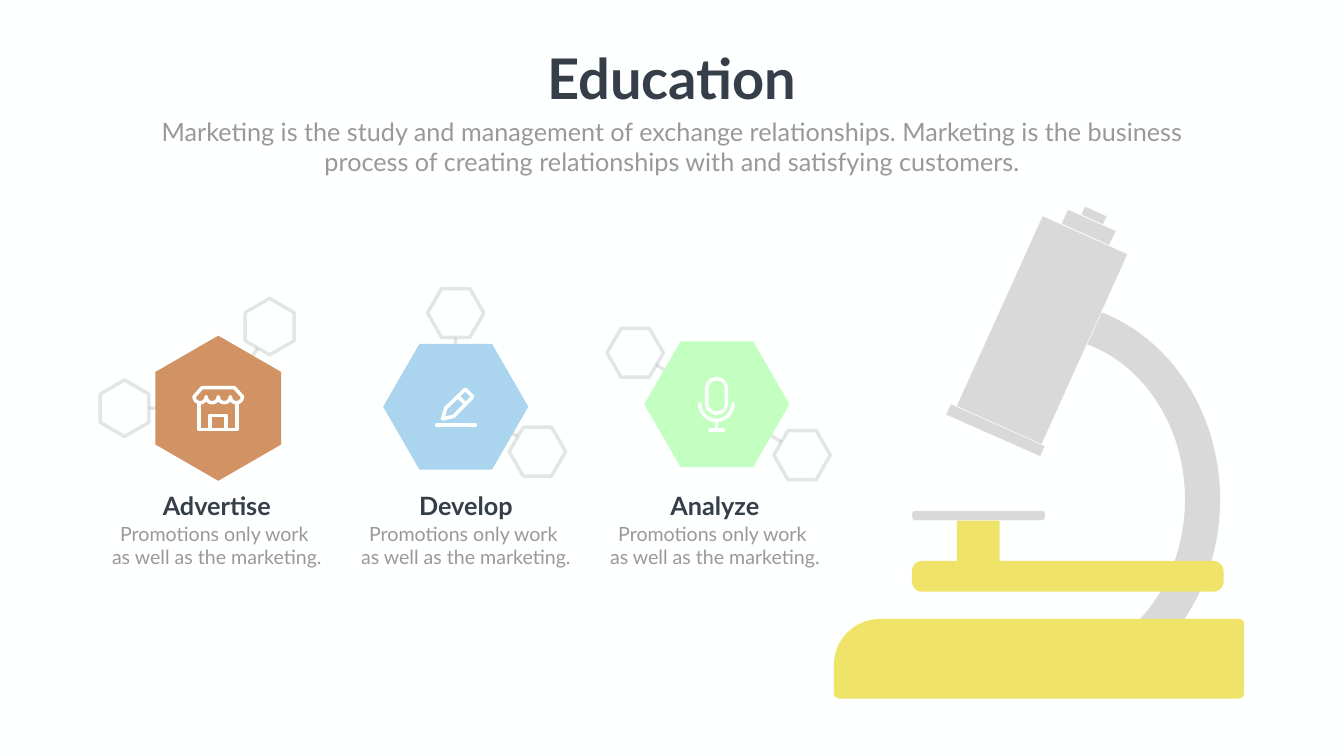
from math import cos, radians, sin

from lxml import etree
from pptx import Presentation
from pptx.dml.color import RGBColor
from pptx.enum.shapes import MSO_CONNECTOR, MSO_SHAPE
from pptx.enum.text import MSO_ANCHOR, PP_ALIGN
from pptx.oxml.ns import qn
from pptx.util import Pt

PX = 9144  # EMU per px: 100 px to the inch
RECTANGLE, ROUNDED = MSO_SHAPE.RECTANGLE, MSO_SHAPE.ROUNDED_RECTANGLE
STRAIGHT = MSO_CONNECTOR.STRAIGHT
CENTER, TOP = PP_ALIGN.CENTER, MSO_ANCHOR.TOP

FONT = "Lato"
WHITE, DARK, TEXT_GRAY = "FEFFFF", "363E49", "989998"
LIGHT_GRAY, YELLOW = "D9D9D9", "F0E36A"
BOND = {"line": "808080", "weight": 5, "alpha": 20}
ICON = {"line": WHITE, "weight": 5, "rounded": True}
METAL = {"fill": LIGHT_GRAY, "line": WHITE, "weight": 0.75}

# name, caption centre, hexagon centre, turn, colour, satellite centres, bond path
STEPS = [
    ("Advertise", 430, (433, 810), 30, "D29364", [(535, 648), (247, 810)],
     [(295, 810), (433, 810), (511, 691)]),
    ("Develop", 924, (904, 807), 0, "ABD5EE", [(1066, 896), (904, 621)],
     [(904, 670), (904, 817), (1027, 865)]),
    ("Analyze", 1418, (1422, 802), 0, "C3FFC0", [(1260, 700), (1591, 903)],
     [(1302, 724), (1550, 877)]),
]

TUBE_PARTS = [
    [(2237, 504), (2066, 883), (1897, 806), (2068, 428)],
    [(2214, 458), (2200, 487), (2105, 444), (2118, 415)],
    [(2196, 429), (2188, 446), (2144, 426), (2152, 409)],
    [(2073, 885), (2064, 906), (1876, 823), (1886, 801)],
]


def color(value):
    return RGBColor.from_string(value)


def style_line(shape, line=None, weight=1, alpha=None, rounded=False):
    if line is None:
        shape.line.fill.background()
        return
    shape.line.color.rgb = color(line)
    shape.line.width = Pt(weight)
    outline = shape.element.spPr.find(qn("a:ln"))
    if alpha is not None:
        paint = outline.find(".//" + qn("a:srgbClr"))
        etree.SubElement(paint, qn("a:alpha")).set("val", str(alpha * 1000))
    if rounded:
        outline.set("cap", "rnd")
        etree.SubElement(outline, qn("a:round"))


def style_shape(shape, fill=None, **line_format):
    shape.shadow.inherit = False
    if fill is None:
        shape.fill.background()
    else:
        shape.fill.solid()
        shape.fill.fore_color.rgb = color(fill)
    style_line(shape, **line_format)


def add_outline(page, points, closed=True, **look):
    corners = [(round(x * PX), round(y * PX)) for x, y in points]
    builder = page.shapes.build_freeform(*corners[0])
    builder.add_line_segments(corners[1:], close=closed)
    style_shape(builder.convert_to_shape(), **look)


def add_box(page, left, top, width, height, radius=0, **look):
    kind = ROUNDED if radius else RECTANGLE
    box = page.shapes.add_shape(kind, *(n * PX for n in (left, top, width, height)))
    if radius:
        box.adjustments[0] = radius / min(width, height)
    style_shape(box, **look)


def add_line(page, start, end, **look):
    line = page.shapes.add_connector(STRAIGHT, *(n * PX for n in (*start, *end)))
    etree.SubElement(line.element.spPr, qn("a:effectLst"))
    style_line(line, **look)


def arc(x, y, radius_x, radius_y, start, end, steps=24):
    """Points along an ellipse; degrees run clockwise from the right."""
    angles = [radians(start + (end - start) * i / steps) for i in range(steps + 1)]
    return [(x + radius_x * cos(a), y + radius_y * sin(a)) for a in angles]


def add_hexagon(page, center, radius, turn, **look):
    add_outline(page, arc(*center, radius, radius, turn, turn + 300, 5), **look)


def write(box, text, size, ink, bold=False, wrap=True):
    frame = box.text_frame
    frame.word_wrap = wrap
    frame.vertical_anchor = TOP
    frame.text = text
    for para in frame.paragraphs:
        properties = para._p.get_or_add_pPr()
        properties.set("marL", "0")
        properties.set("indent", "0")
        etree.SubElement(properties, qn("a:buNone"))
        para.alignment = CENTER
        para.space_before = Pt(0)
        for span in para.runs:
            span.font.name = FONT
            span.font.size = Pt(size)
            span.font.bold = bold
            span.font.color.rgb = color(ink)


def place(box, left, top, width, height):
    box.left, box.top, box.width, box.height = (n * PX for n in (left, top, width, height))


def add_caption(page, center, top, width, height, text, **text_format):
    box = page.shapes.add_textbox((center - width // 2) * PX, top * PX, width * PX, height * PX)
    write(box, text, **text_format)


def draw_headings(page):
    title, body = page.placeholders
    place(title, 1071, 81, 524, 145)
    write(title, "Education", 80, DARK, bold=True, wrap=False)
    place(body, 268, 225, 2130, 131)
    write(body, "Marketing is the study and management of exchange relationships. "
                "Marketing is the business process of creating relationships with "
                "and satisfying customers.", 36, TEXT_GRAY)


def draw_step(page, name, caption_center, center, turn, fill, satellites, bonds):
    if len(bonds) == 2:
        add_line(page, *bonds, **BOND)
    else:
        add_outline(page, bonds, closed=False, **BOND)
    add_hexagon(page, center, 144, turn, fill=fill)
    for satellite in satellites:
        add_hexagon(page, satellite, 56, turn, **BOND)
    add_caption(page, caption_center, 968, 262, 71, name, size=36, ink=DARK, bold=True)
    add_caption(page, caption_center, 1030, 442, 104,
                "Promotions only work \nas well as the marketing.", size=28, ink=TEXT_GRAY)


def draw_microscope(page):
    # Arm: the band between two half ellipses
    outer = arc(2073, 991, 348, 393, -90, 90, 60)
    inner = arc(2073, 991, 277, 322, 90, -90, 60)
    add_outline(page, outer + inner, **METAL)
    # Stage, base, glass plate and post
    add_box(page, 1809, 1113, 618, 61, radius=20, fill=YELLOW)
    base = (arc(1746, 1320, 92, 92, 180, 270) + arc(2457, 1239, 11, 11, 270, 360)
            + arc(2457, 1375, 11, 11, 0, 90) + arc(1665, 1375, 11, 11, 90, 180))
    add_outline(page, base, fill=YELLOW)
    add_box(page, 1809, 1013, 264, 20, radius=6, **METAL)
    add_box(page, 1898, 1033, 85, 85, fill=YELLOW)
    for part in TUBE_PARTS:
        add_outline(page, part, **METAL)


def draw_icons(page):
    # Shop
    awning = [(385, 787), (401, 769), (465, 769), (481, 787)]
    for x in range(469, 396, -24):
        awning += arc(x, 787, 12, 12, 0, 180, 12)
    add_outline(page, awning, **ICON)
    for left, right, top in [(395, 470, 800), (417, 448, 824)]:
        add_outline(page, [(left, top), (left, 852), (right, 852), (right, top)][::1]
                    if top == 800 else
                    [(left, 852), (left, top), (right, top), (right, 852)],
                    closed=False, **ICON)
    # Pencil
    add_outline(page, [(923, 772), (938, 787), (900, 826), (878, 831), (884, 810)], **ICON)
    add_line(page, (909, 787), (923, 801), **ICON)
    add_line(page, (866, 843), (943, 843), **ICON)
    # Microphone
    add_box(page, 1402, 751, 39, 69, radius=19, **ICON)
    add_outline(page, arc(1421, 801, 33, 33, 0, 180), closed=False, **ICON)
    add_line(page, (1421, 834), (1421, 853), **ICON)
    add_line(page, (1408, 853), (1435, 853), **ICON)


def main():
    deck = Presentation()
    deck.slide_width, deck.slide_height = 2666 * PX, 1500 * PX
    page = deck.slides.add_slide(deck.slide_layouts[1])
    page.background.fill.solid()
    page.background.fill.fore_color.rgb = color(WHITE)
    draw_headings(page)
    draw_microscope(page)
    for step in STEPS:
        draw_step(page, *step)
    draw_icons(page)
    deck.save("out.pptx")


if __name__ == "__main__":
    main()
